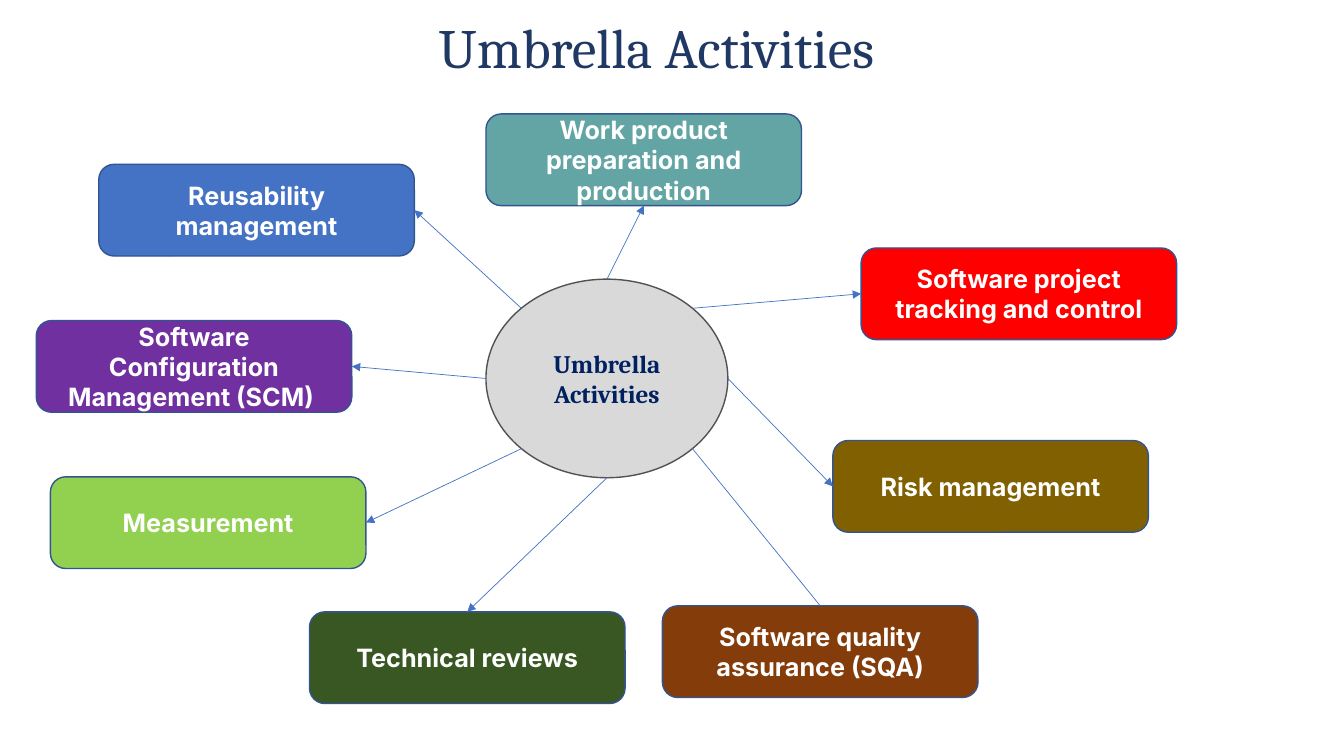
from dataclasses import dataclass
from math import cos, radians, sin

from lxml.etree import SubElement
from pptx import Presentation
from pptx.dml.color import RGBColor
from pptx.enum.shapes import MSO_CONNECTOR, MSO_SHAPE as Shape
from pptx.enum.text import MSO_ANCHOR as Anchor, PP_ALIGN as Align
from pptx.oxml.ns import qn
from pptx.util import Inches, Pt

WIDTH, HEIGHT = Inches(13.33), Inches(7.5)
COLUMN, ROW = WIDTH / 100, HEIGHT / 100  # grid of 100 columns by 100 rows

COLOURS = {
    "title": "203864", "hub": "D9D9D9", "hub_line": "525252", "hub_text": "002060",
    "card_line": "325491", "card_text": "FFFFFF", "arrow": "4472C4",
    "red": "FF0000", "olive": "806000", "brown": "843C0B", "forest": "385723",
    "lime": "92D050", "purple": "7030A0", "blue": "4472C4", "teal": "63A5A5",
}


@dataclass(frozen=True)
class Area:
    """A rectangle in grid columns and rows."""
    left: float
    top: float
    width: float
    height: float

    def emu(self) -> tuple[int, int, int, int]:
        return (round(self.left * COLUMN), round(self.top * ROW),
                round(self.width * COLUMN), round(self.height * ROW))

    def point(self, across: float, down: float) -> tuple[int, int]:
        """Slide position at the given shares of the area's width and height."""
        return (round((self.left + across * self.width) * COLUMN),
                round((self.top + down * self.height) * ROW))


@dataclass(frozen=True)
class Activity:
    text: str
    colour: str
    left: float
    top: float
    angle: int  # where the line leaves the hub, clockwise from the right
    side: tuple[float, float]  # where the line meets the card
    arrowhead: bool = True


CARD_SIZE = (23.48, 12.13)
HUB = Area(36.16, 36.93, 18, 26.27)
TITLE = Area(5.7, 2.13, 86.27, 9.07)
LEFT, RIGHT, TOP, BOTTOM = (0, 0.5), (1, 0.5), (0.5, 0), (0.5, 1)

ACTIVITIES = [
    Activity("Software project tracking and control", "red", 64.07, 32.8, -45, LEFT),
    Activity("Risk management", "olive", 61.97, 58.27, 0, LEFT),
    Activity("Software quality assurance (SQA)", "brown", 49.29, 80.13, 45, TOP, False),
    Activity("Technical reviews", "forest", 23.03, 80.93, 90, TOP),
    Activity("Measurement", "lime", 3.75, 63.07, 135, RIGHT),
    Activity("Software Configuration Management (SCM) ", "purple", 2.7, 42.4, 180, RIGHT),
    Activity("Reusability management", "blue", 7.35, 21.73, 225, RIGHT),
    Activity("Work product preparation and production", "teal", 36.16, 15.07, 270, BOTTOM),
]


def rgb(name: str) -> RGBColor:
    return RGBColor.from_string(COLOURS[name])


def write(box, text: str, colour: str, **font_format) -> None:
    frame = box.text_frame
    frame.word_wrap = True
    frame.vertical_anchor = Anchor.MIDDLE
    para = frame.paragraphs[0]
    para.alignment = Align.CENTER
    span = para.add_run()
    span.text = text
    span.font.color.rgb = rgb(colour)
    for name, value in font_format.items():
        setattr(span.font, name, value)


def draw_shape(page, kind: Shape, area: Area, fill: str, line: str):
    box = page.shapes.add_shape(kind, *area.emu())
    box.shadow.inherit = False
    box.fill.solid()
    box.fill.fore_color.rgb = rgb(fill)
    box.line.color.rgb = rgb(line)
    box.line.width = Pt(1)
    return box


def draw_line(page, start: tuple[int, int], end: tuple[int, int], arrowhead: bool) -> None:
    link = page.shapes.add_connector(MSO_CONNECTOR.STRAIGHT, *start, *end)
    link.line.color.rgb = rgb("arrow")
    link.line.width = Pt(0.5)
    if arrowhead:
        SubElement(link.line._get_or_add_ln(), qn("a:tailEnd"), type="triangle")
    SubElement(link._element.spPr, qn("a:effectLst"))


def draw_activity(page, activity: Activity) -> None:
    area = Area(activity.left, activity.top, *CARD_SIZE)
    card = draw_shape(page, Shape.ROUNDED_RECTANGLE, area, activity.colour, "card_line")
    write(card, activity.text, "card_text", name="Inter", size=Pt(18), bold=True)
    turn = radians(activity.angle)
    start = HUB.point(0.5 + cos(turn) / 2, 0.5 + sin(turn) / 2)
    draw_line(page, start, area.point(*activity.side), activity.arrowhead)


def main() -> None:
    deck = Presentation()
    deck.slide_width, deck.slide_height = WIDTH, HEIGHT
    page = deck.slides.add_slide(deck.slide_layouts[6])

    title = page.shapes.add_textbox(*TITLE.emu())
    write(title, "Umbrella Activities", "title", name="Cambria", size=Pt(39.6))
    title.text_frame.paragraphs[0].line_spacing = 0.9

    hub = draw_shape(page, Shape.FLOWCHART_CONNECTOR, HUB, "hub", "hub_line")
    write(hub, "Umbrella Activities", "hub_text", name="Cambria", size=Pt(18), bold=True)

    for activity in ACTIVITIES:
        draw_activity(page, activity)
    deck.save("out.pptx")


if __name__ == "__main__":
    main()
